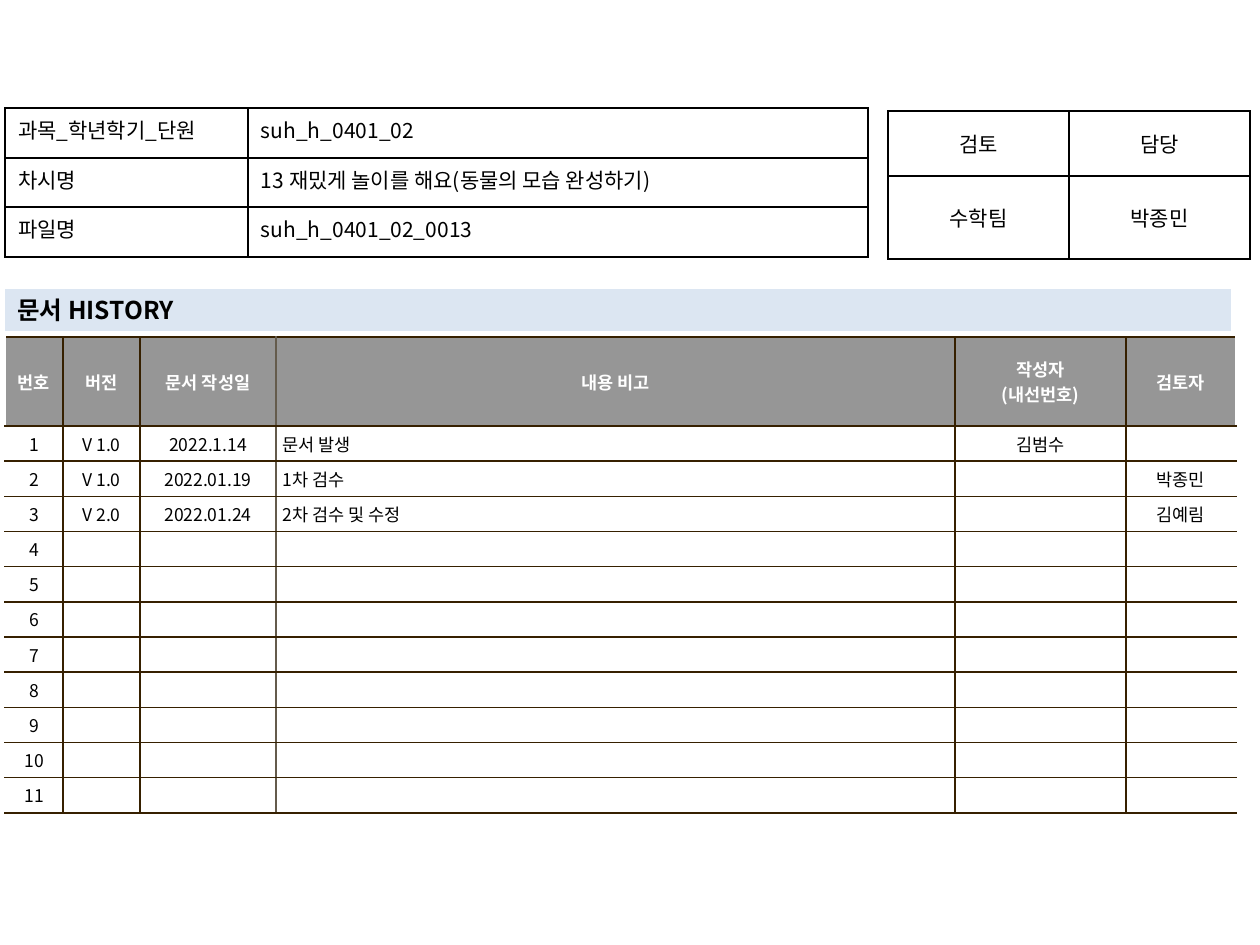
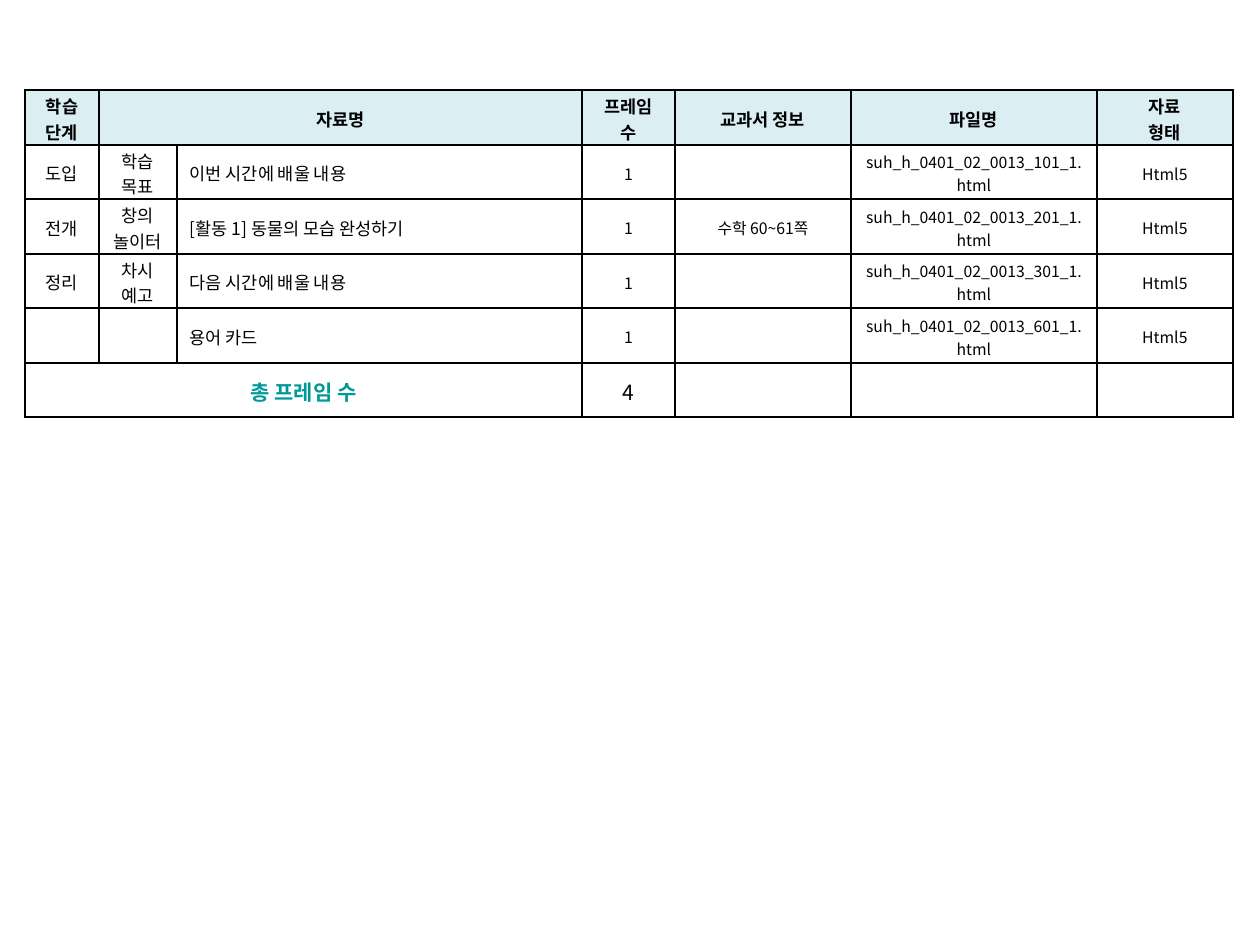
from itertools import product
from lxml.etree import SubElement
from pptx import Presentation
from pptx.dml.color import RGBColor
from pptx.enum.shapes import MSO_SHAPE as Shape
from pptx.enum.text import MSO_ANCHOR as Anchor, PP_ALIGN as Align
from pptx.oxml.ns import qn
from pptx.util import Emu, Pt

THEME = {
    "font": "Noto Sans CJK KR",
    "ink": "000000", "white": "FFFFFF", "teal": "009999",
    "heading_band": "DCE6F2", "history_head": "969696", "overview_head": "DBEEF4",
    "history_rule": "362000", "date_rule": "645B4C",
    "small": 9, "body": 10, "large": 12, "heading": 14,
}
L, C, J = Align.LEFT, Align.CENTER, Align.JUSTIFY

HISTORY_HEAD = ["번호", "버전", "문서 작성일", "내용 비고", "작성자\n(내선번호)", "검토자"]
REVISIONS = [
    ["V 1.0", "2022.1.14", "문서 발생", "김범수", ""],
    ["V 1.0", "2022.01.19", "1차 검수", "", "박종민"],
    ["V 2.0", "2022.01.24", "2차 검수 및 수정", "", "김예림"],
]
REVISION_SLOTS = 11
REVIEWERS = [["검토", "담당"], ["수학팀", "박종민"]]
HEADING = "문서 HISTORY"
LESSON = [
    ["과목_학년학기_단원", "suh_h_0401_02"],
    ["차시명", "13 재밌게 놀이를 해요(동물의 모습 완성하기)"],
    ["파일명", "suh_h_0401_02_0013"],
]
OVERVIEW_HEAD = ["학습 단계", "자료명", "", "프레임 수", "교과서 정보", "파일명", "자료\n형태"]
MATERIALS = [
    ("도입", "학습 목표", "이번 시간에 배울 내용", "", 101),
    ("전개", "창의\n놀이터", "[활동 1] 동물의 모습 완성하기", "수학 60~61쪽", 201),
    ("정리", "차시 예고", "다음 시간에 배울 내용", "", 301),
    ("", "", "용어 카드", "", 601),
]
TOTAL_LABEL = "총 프레임 수"

LESSON_GRID = {"at": (5, 108), "cols": [243, 620], "rows": [50, 49, 50]}
REVIEW_GRID = {"at": (888, 111), "cols": [181, 181], "rows": [65, 83]}
HISTORY_GRID = {"at": (5, 337), "cols": [58, 77, 136, 679, 171, 110],
                "rows": [89] + [31] * REVISION_SLOTS}
OVERVIEW_GRID = {"at": (25, 90), "cols": [74, 78, 405, 93, 176, 246, 136],
                 "rows": [55, 54] * 3}
HEADING_BOX = (5, 289, 1226, 42)


def px(length):
    return Emu(round(length * 914400 / 126))


def apply(target, values):
    for name, value in values.items():
        setattr(target, name, value)


def write(frame, text, align=L, size="body", color="ink", bold=False):
    frame.text = text
    for paragraph in frame.paragraphs:
        paragraph.alignment = align
        if not text:
            SubElement(paragraph._p, qn("a:endParaRPr"), sz=str(THEME[size] * 100))
        for run in paragraph.runs:
            run.font.color.rgb = RGBColor.from_string(THEME[color])
            apply(run.font, {"size": Pt(THEME[size]), "bold": bold, "name": THEME["font"]})
            SubElement(run._r.get_or_add_rPr(), qn("a:ea"), typeface=THEME["font"])


def paint(target, color):
    if color:
        target.fill.solid()
        target.fill.fore_color.rgb = RGBColor.from_string(THEME[color])
    else:
        target.fill.background()


def rule_cell(cell, borders):
    properties = cell._tc.get_or_add_tcPr()
    for side in "LRTB":
        if borders.get(side):
            line = SubElement(properties, qn(f"a:ln{side}"), w=str(Pt(1)))
            fill = SubElement(line, qn("a:solidFill"))
            SubElement(fill, qn("a:srgbClr"), val=THEME[borders[side]])


def add_grid(slide, grid, content, style, borders, margins, merges=()):
    cols, rows = grid["cols"], grid["rows"]
    places = [px(n) for n in (*grid["at"], sum(cols), sum(rows))]
    table = slide.shapes.add_table(len(rows), len(cols), *places).table
    apply(table, {"first_row": False, "horz_banding": False})
    for column, width in zip(table.columns, cols):
        column.width = px(width)
    for row, height in zip(table.rows, rows):
        row.height = px(height)
    insets = dict(zip(("margin_left", "margin_top", "margin_right", "margin_bottom"),
                      map(px, margins)))
    for r, c in product(range(len(rows)), range(len(cols))):
        cell = table.cell(r, c)
        look = dict(style(r, c))
        fill = look.pop("fill", None)
        anchor = look.pop("anchor", Anchor.MIDDLE)
        apply(cell, {**insets, "vertical_anchor": anchor})
        write(cell.text_frame, content[r][c], **look)
        rule_cell(cell, borders(c))
        paint(cell, fill)
    for start, end in merges:
        table.cell(*start).merge(table.cell(*end))


def full_borders(c):
    return dict.fromkeys("LRTB", "ink")


def history_borders(c):
    borders = dict.fromkeys("LRTB", "history_rule")
    borders.update({0: {"L": None}, 2: {"R": "date_rule"}, 3: {"L": "date_rule"},
                    5: {"R": None}}.get(c, {}))
    return borders


def lesson_style(r, c):
    return {"align": L if c else J, "size": "large", "anchor": Anchor.TOP}


def review_style(r, c):
    return {"align": C, "size": "large"}


def history_style(r, c):
    if r == 0:
        return {"align": C, "color": "white", "bold": True, "fill": "history_head"}
    return {"align": L if c == 3 else C, "fill": "white"}


def overview_style(r, c):
    if r == 0:
        return {"align": C, "bold": True, "fill": "overview_head"}
    if r == len(MATERIALS) + 1:
        label = {"color": "teal", "bold": True} if c == 0 else {}
        return {"align": C, "size": "large", **label}
    return {"align": L if c == 2 else C, "size": "small" if c > 2 else "body"}


def add_heading(slide):
    band = slide.shapes.add_shape(Shape.RECTANGLE, *map(px, HEADING_BOX))
    band.shadow.inherit = False
    paint(band, "heading_band")
    band.line.fill.background()
    apply(band.text_frame, {"word_wrap": True, "vertical_anchor": Anchor.MIDDLE})
    write(band.text_frame, HEADING, size="heading", bold=True)


def build_history(slide):
    blanks = [[""] * 5] * (REVISION_SLOTS - len(REVISIONS))
    numbered = [[str(n), *entry] for n, entry in enumerate(REVISIONS + blanks, 1)]
    add_grid(slide, HISTORY_GRID, [HISTORY_HEAD, *numbered], history_style,
             history_borders, (7, 5, 7, 5))
    add_grid(slide, REVIEW_GRID, REVIEWERS, review_style, full_borders, (13, 6, 13, 6))
    add_heading(slide)
    add_grid(slide, LESSON_GRID, LESSON, lesson_style, full_borders, (13, 6, 13, 6))


def build_overview(slide):
    file_stem = LESSON[2][1]
    materials = [[stage, part, title, "1", pages, f"{file_stem}_{code}_1.html", "Html5"]
                 for stage, part, title, pages, code in MATERIALS]
    total = [TOTAL_LABEL, "", "", str(len(MATERIALS)), "", "", ""]
    last = len(MATERIALS) + 1
    add_grid(slide, OVERVIEW_GRID, [OVERVIEW_HEAD, *materials, total], overview_style,
             full_borders, (13, 3, 13, 0),
             [((0, 1), (0, 2)), ((last, 0), (last, 2))])


def main():
    deck = Presentation()
    apply(deck, {"slide_width": px(1260), "slide_height": px(945)})
    for build in (build_history, build_overview):
        build(deck.slides.add_slide(deck.slide_layouts[6]))
    deck.save("out.pptx")


if __name__ == "__main__":
    main()
